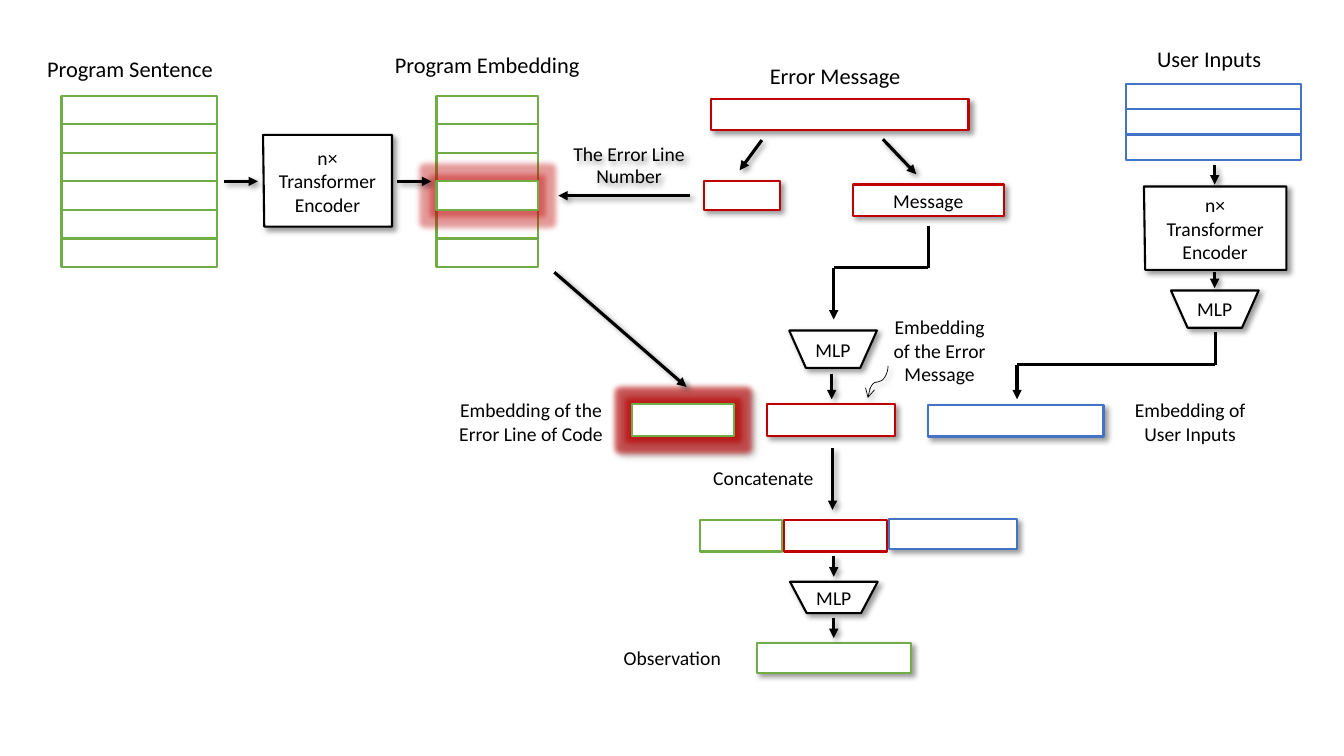
from dataclasses import dataclass
from itertools import pairwise

from lxml.etree import SubElement
from pptx import Presentation
from pptx.dml.color import RGBColor
from pptx.enum.shapes import MSO_CONNECTOR as Link, MSO_SHAPE as Preset
from pptx.enum.text import MSO_ANCHOR as Anchor, PP_ALIGN as Align
from pptx.oxml.ns import qn
from pptx.util import Cm, Pt

COLORS = {"ink": "000000", "paper": "FFFFFF", "code": "70AD47",
          "error": "C00000", "user": "4472C4"}
FONT = "Calibri"
ROW = 0.72
CODE_TOP = 2.41
ERROR_ROW = 3
ENCODER = "n×\nTransformer Encoder"


@dataclass
class Box:
    left: float
    top: float
    width: float
    height: float
    color: str
    text: str = ""
    shadow: bool = True
    glow: int = 0


@dataclass
class Block:
    """A network layer whose lower edge is inset on each side."""
    left: float
    top: float
    width: float
    height: float
    inset_left: float
    inset_right: float
    text: str


@dataclass
class Label:
    left: float
    top: float
    width: float
    height: float
    text: str
    size: int = 14
    spacing: float = 1.0
    align: Align = Align.CENTER
    wrap: bool = True
    shadow: bool = False


@dataclass
class Route:
    points: list[tuple[float, float]]
    shadow: bool = True


def stack(left: float, top: float, width: float, height: float,
          count: int, color: str) -> list[Box]:
    return [Box(left, top + i * height, width, height, color, shadow=False)
            for i in range(count)]


BOXES = [
    *stack(1.55, CODE_TOP, 3.91, ROW, 6, "code"),
    *stack(11, CODE_TOP, 2.57, ROW, 6, "code"),
    Box(11, CODE_TOP + ERROR_ROW * ROW, 2.57, ROW, "code", shadow=False, glow=40),
    *stack(28.37, 2.11, 4.42, 0.64, 3, "user"),
    Box(17.93, 2.49, 6.48, 0.79, "error"),
    Box(17.75, 4.57, 1.91, ROW, "error"),
    Box(21.49, 4.65, 3.81, 0.79, "error", "Message"),
    Box(15.93, 10.19, 2.57, 0.79, "code", glow=60),
    Box(19.33, 10.19, 3.23, 0.79, "error"),
    Box(23.39, 10.21, 4.42, 0.79, "user"),
    Box(17.65, 13.11, 2.06, 0.79, "code", shadow=False),
    Box(19.76, 13.11, 2.59, 0.79, "error", shadow=False),
    Box(22.4, 13.08, 3.23, 0.76, "user"),
    Box(19.08, 16.21, 3.89, 0.76, "code"),
]
BLOCKS = [
    Block(6.63, 3.4, 3.25, 2.31, 0.03, 0, ENCODER),
    Block(28.83, 4.7, 3.59, 2.1, 0.03, 0, ENCODER),
    Block(19.89, 8.33, 2.21, 0.94, 0.42, 0.42, "MLP"),
    Block(19.91, 14.66, 2.21, 0.79, 0.42, 0.42, "MLP"),
    Block(29.51, 7.32, 2.21, 0.94, 0.42, 0.42, "MLP"),
]
LABELS = [
    Label(0.94, 1.27, 5.13, 0.94, "Program Sentence", 16, align=Align.LEFT, wrap=False),
    Label(9.42, 1.24, 5.72, 0.86, "Program Embedding", 16, 0.9, wrap=False),
    Label(19, 1.52, 4.09, 0.86, "Error Message", 16, 0.9, wrap=False),
    Label(28.91, 1.02, 3.35, 0.94, "User Inputs", 16, align=Align.LEFT, wrap=False),
    Label(14.1, 3.53, 3.51, 1.35, "The Error Line Number", spacing=0.9, shadow=True),
    Label(22.12, 7.82, 3.12, 2.06, "Embedding of the Error Message"),
    Label(11.1, 9.91, 4.57, 1.45, "Embedding of the Error Line of Code"),
    Label(28.19, 9.91, 3.61, 1.45, "Embedding of User Inputs"),
    Label(17.6, 11.61, 3.28, 0.86, "Concatenate"),
    Label(14.66, 16.15, 4.57, 0.86, "Observation"),
]
ROUTES = [
    Route([(5.64, 4.57), (6.5, 4.57)]),
    Route([(10.01, 4.57), (10.87, 4.57)]),
    Route([(19.2, 3.53), (18.64, 4.29)]),
    Route([(22.25, 3.51), (23.09, 4.39)]),
    Route([(17.4, 4.93), (14.07, 4.93)]),
    Route([(13.97, 6.86), (17.3, 9.75)]),
    Route([(30.61, 4.17), (30.61, 4.65)]),
    Route([(30.61, 6.86), (30.61, 7.26)]),
    Route([(20.96, 9.42), (20.96, 10.06)]),
    Route([(20.98, 11.3), (20.98, 12.85)]),
    Route([(21.01, 14), (21.01, 14.53)]),
    Route([(21.01, 15.57), (21.01, 16.08)]),
    Route([(23.39, 5.69), (23.39, 6.75), (21.01, 6.75), (21.01, 8.05)], shadow=False),
    Route([(30.63, 8.36), (30.63, 9.19), (25.63, 9.19), (25.63, 10.06)], shadow=False),
]


def rgb(name: str) -> RGBColor:
    return RGBColor.from_string(COLORS[name])


def add_effects(shape, shadow: bool, glow: int = 0) -> None:
    """Set the shadow and the red glow; glow is its opacity in percent."""
    effects = SubElement(shape._element.spPr, qn("a:effectLst"))
    wanted = []
    if glow:
        wanted.append(("a:glow", {"rad": Pt(8)}, "error", glow))
    if shadow:
        wanted.append(("a:outerShdw", {"blurRad": Pt(4), "dist": Pt(3), "dir": 45 * 60000,
                                       "algn": "tl", "rotWithShape": 0}, "ink", 40))
    for tag, settings, color, opacity in wanted:
        effect = SubElement(effects, qn(tag), {k: str(v) for k, v in settings.items()})
        tint = SubElement(effect, qn("a:srgbClr"), val=COLORS[color])
        SubElement(tint, qn("a:alpha"), val=str(opacity * 1000))


def write(shape, text: str, size: int = 14, align: Align = Align.CENTER,
          spacing: float = 1.0) -> None:
    shape.text_frame.text = text
    for para in shape.text_frame.paragraphs:
        para.alignment = align
        para.line_spacing = spacing
        for span in para.runs:
            span.font.name = FONT
            span.font.size = Pt(size)
            span.font.color.rgb = rgb("ink")


def finish(shape, color: str, text: str, shadow: bool = True, glow: int = 0) -> None:
    shape.fill.solid()
    shape.fill.fore_color.rgb = rgb("paper")
    shape.line.color.rgb = rgb(color)
    shape.line.width = Pt(1.5)
    add_effects(shape, shadow, glow)
    if text:
        shape.text_frame.word_wrap = True
        shape.text_frame.vertical_anchor = Anchor.MIDDLE
        write(shape, text)


def draw_box(page, box: Box) -> None:
    shape = page.shapes.add_shape(Preset.RECTANGLE, Cm(box.left), Cm(box.top),
                                  Cm(box.width), Cm(box.height))
    finish(shape, box.color, box.text, box.shadow, box.glow)


def draw_block(page, block: Block) -> None:
    right, bottom = block.left + block.width, block.top + block.height
    outline = page.shapes.build_freeform(Cm(block.left), Cm(block.top))
    corners = [(right, block.top), (right - block.inset_right, bottom),
               (block.left + block.inset_left, bottom)]
    outline.add_line_segments([(Cm(x), Cm(y)) for x, y in corners])
    finish(outline.convert_to_shape(), "ink", block.text)


def draw_label(page, label: Label) -> None:
    box = page.shapes.add_textbox(Cm(label.left), Cm(label.top),
                                  Cm(label.width), Cm(label.height))
    box.text_frame.word_wrap = label.wrap
    write(box, label.text, label.size, label.align, label.spacing)
    if label.shadow:
        add_effects(box, True)


def draw_line(page, kind: Link, start: tuple[float, float], end: tuple[float, float],
              width: float, head: str, shadow: bool):
    line = page.shapes.add_connector(kind, *map(Cm, start + end))
    line.line.color.rgb = rgb("ink")
    line.line.width = Pt(width)
    if head:
        SubElement(line.line._get_or_add_ln(), qn("a:tailEnd"), type=head)
    add_effects(line, shadow)
    return line


def draw_route(page, route: Route) -> None:
    for start, end in pairwise(route.points):
        head = "triangle" if end == route.points[-1] else ""
        draw_line(page, Link.STRAIGHT, start, end, 2.25, head, route.shadow)


def draw_pointer(page) -> None:
    """Curved pointer from the error message caption, turned to run downwards."""
    curve = draw_line(page, Link.CURVE, (21.72, 9.37), (22.53, 9.88), 0.5, "arrow", True)
    curve._element.spPr.find(qn("a:xfrm")).set("rot", str(90 * 60000))


def main() -> None:
    deck = Presentation()
    deck.slide_width, deck.slide_height = Cm(33.87), Cm(19.05)
    page = deck.slides.add_slide(deck.slide_layouts[6])
    for draw, items in ((draw_block, BLOCKS), (draw_box, BOXES),
                        (draw_label, LABELS), (draw_route, ROUTES)):
        for item in items:
            draw(page, item)
    draw_pointer(page)
    deck.save("out.pptx")


if __name__ == "__main__":
    main()
